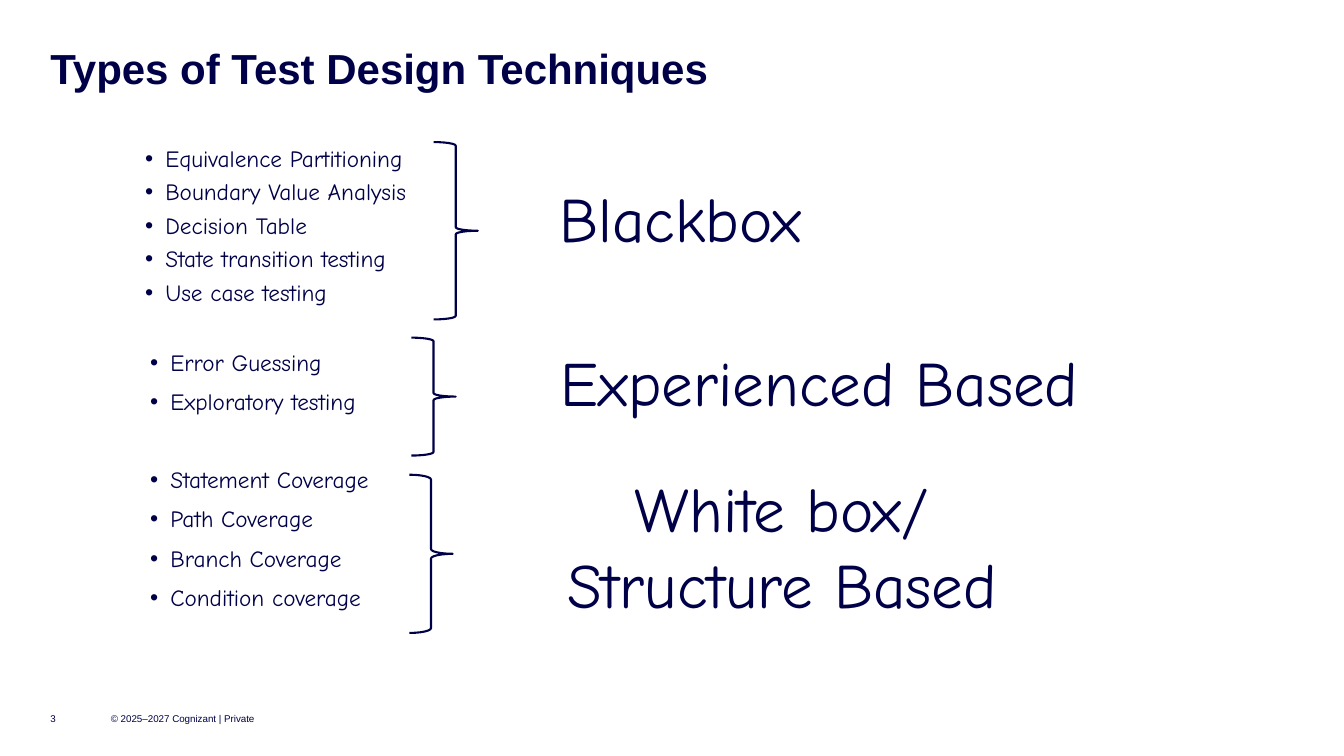
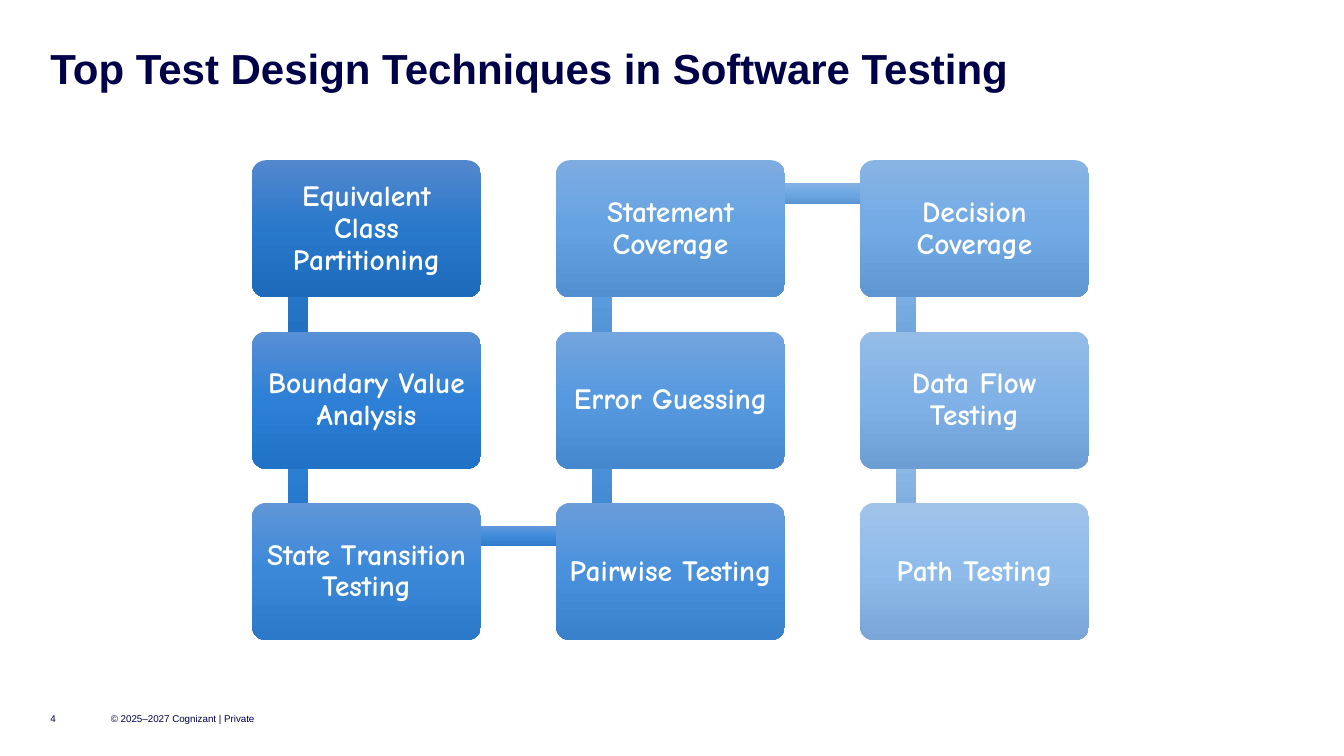
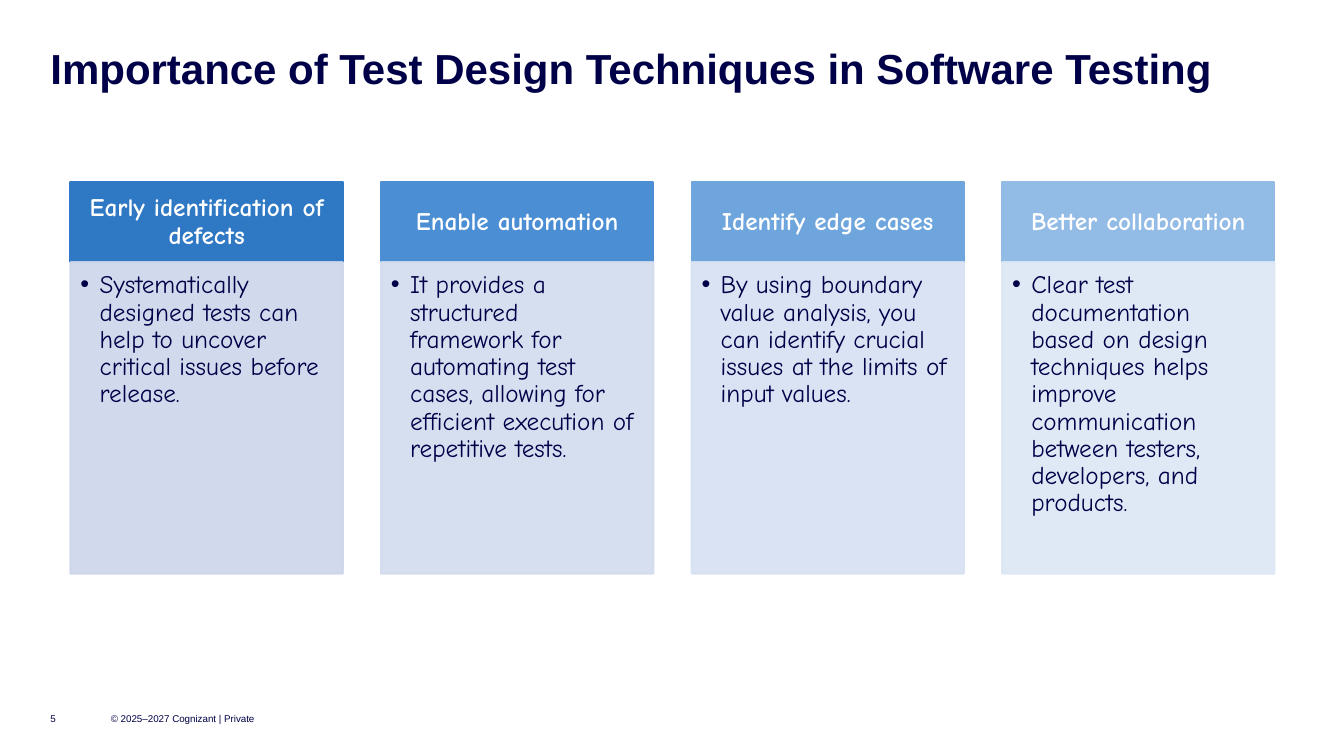
import copy

import lxml.etree
import pptx
import pptx.dml.color
import pptx.enum.shapes
import pptx.enum.text
import pptx.oxml.ns
import pptx.util

Inches = pptx.util.Inches
Pt = pptx.util.Pt
RGBColor = pptx.dml.color.RGBColor
SHAPE = pptx.enum.shapes.MSO_SHAPE
ALIGN = pptx.enum.text.PP_ALIGN
ANCHOR = pptx.enum.text.MSO_ANCHOR
qn = pptx.oxml.ns.qn

NAVY = RGBColor(0x00, 0x00, 0x48)
WHITE = RGBColor(0xFF, 0xFF, 0xFF)
HEADING_FONT = "Arial"
BODY_FONT = "Comic Neue"
COPYRIGHT = "© 2025–2027 Cognizant | Private"

deck = pptx.Presentation()
deck.slide_width = Inches(13.33)
deck.slide_height = Inches(7.5)
TITLE_AND_LIST = deck.slide_layouts[1]
TITLE_ONLY = deck.slide_layouts[5]


def style(paragraph, size, color=NAVY, font=BODY_FONT, bold=False,
          align=ALIGN.LEFT, spacing=0.9, before=0, bullet_indent=None, hang=0.2):
    """Format one paragraph; bullet_indent is the text indent in inches."""
    paragraph.alignment = align
    paragraph.line_spacing = spacing
    paragraph.space_before = Pt(before)
    if bullet_indent is not None:
        props = paragraph._p.get_or_add_pPr()
        props.set("marL", str(Inches(bullet_indent)))
        props.set("indent", str(-Inches(hang)))
        bullet_color = lxml.etree.SubElement(props, qn("a:buClr"))
        lxml.etree.SubElement(bullet_color, qn("a:srgbClr"), val=str(color))
        lxml.etree.SubElement(props, qn("a:buFont"), typeface="Arial")
        lxml.etree.SubElement(props, qn("a:buChar"), char="•")
    paragraph.font.size = Pt(size)
    paragraph.font.name = font
    paragraph.font.bold = bold
    paragraph.font.color.rgb = color


def new_slide(layout, number, heading):
    """Add a slide with the shared title and footer."""
    slide = deck.slides.add_slide(layout)
    title = slide.shapes.title
    title.left, title.top = Inches(0.5), Inches(0.48)
    title.width, title.height = Inches(12.33), Inches(0.45)
    title.text_frame.text = heading
    title.text_frame.vertical_anchor = ANCHOR.TOP
    style(title.text_frame.paragraphs[0], 30, font=HEADING_FONT, bold=True)
    frames = [title.text_frame]
    for left, width, text in ((1.1, 1.5, COPYRIGHT), (0.5, 0.4, str(number))):
        footer = slide.shapes.add_textbox(
            Inches(left), Inches(7), Inches(width), Inches(0.25)).text_frame
        footer.text = text
        footer.vertical_anchor = ANCHOR.MIDDLE
        style(footer.paragraphs[0], 7, font=HEADING_FONT, spacing=1.0)
        frames.append(footer)
    for frame in frames:
        frame.word_wrap = True
        frame.margin_left = frame.margin_right = 0
        frame.margin_top = frame.margin_bottom = 0
    return slide


# Slide 3: technique lists, braces and categories
slide = new_slide(TITLE_AND_LIST, 3, "Types of Test Design Techniques")

# (techniques, indent, space between items, space before the group)
technique_groups = [
    (["Equivalence Partitioning", "Boundary Value Analysis", "Decision Table",
      "State transition testing", "Use case testing"], 0.2, 6, 0),
    (["Error Guessing", "Exploratory testing"], 0.25, 10, 32),
    (["Statement Coverage", "Path Coverage", "Branch Coverage",
      "Condition coverage"], 0.25, 10, 38),
]
techniques = slide.placeholders[1]
techniques.left, techniques.top = Inches(1.44), Inches(1.46)
techniques.width, techniques.height = Inches(11.5), Inches(4.86)
technique_text = techniques.text_frame
technique_text.auto_size = pptx.enum.text.MSO_AUTO_SIZE.NONE
technique_text.margin_left = technique_text.margin_right = 0
technique_text.margin_top = technique_text.margin_bottom = 0
technique_text.text = "\n".join(
    name for names, *_ in technique_groups for name in names)
lines = iter(technique_text.paragraphs)
for names, indent, item_gap, group_gap in technique_groups:
    for position in range(len(names)):
        style(next(lines), 16.6, before=item_gap if position else group_gap,
              bullet_indent=indent)

for left, top, width, height, curl in (
        (4.3, 1.41, 0.44, 1.76, 0.08),
        (4.08, 3.35, 0.44, 1.17, 0.08),
        (4.06, 4.71, 0.43, 1.57, 0.11)):
    brace = slide.shapes.add_shape(
        SHAPE.RIGHT_BRACE, Inches(left), Inches(top), Inches(width), Inches(height))
    brace.shadow.inherit = False
    brace.adjustments[0] = curl
    brace.fill.background()
    brace.line.color.rgb = NAVY
    brace.line.width = Pt(1.5)

for left, top, height, text in (
        (2.41, 1.73, 0.86, "Blackbox"),
        (3.79, 3.36, 0.86, "Experienced Based"),
        (3.42, 4.61, 1.62, "White box/\nStructure Based")):
    category = slide.shapes.add_textbox(
        Inches(left), Inches(top), Inches(8.67), Inches(height)).text_frame
    category.word_wrap = True
    category.text = text
    for paragraph in category.paragraphs:
        style(paragraph, 45, align=ALIGN.CENTER, spacing=1.0)

# Slide 4: chain of techniques, running down, up and down the columns
slide = new_slide(TITLE_ONLY, 4, "Top Test Design Techniques in Software Testing")

# (technique, box gradient, gradient of the bar to the next box)
chain = [
    ("Equivalent Class Partitioning", "5488CE 2878CB 1D6ABB", "5488CE 2878CB 1D6ABB"),
    ("Boundary Value Analysis", "588FD5 2D80D6 2072C7", "5990D6 2F81D7 2173C7"),
    ("State Transition Testing", "6096D8 3B88D9 2C79C9", "6298D9 3F8BDA 307BCA"),
    ("Pairwise Testing", "699DDB 4991DC 3981CB", "6DA0DC 4E94DD 3E84CC"),
    ("Error Guessing", "73A5DE 5699DF 4688CD", "79A9E0 5E9EE1 4D8CCF"),
    ("Statement Coverage", "7DACE1 64A2E2 528FD0", "85B2E3 6EA8E4 5B95D1"),
    ("Decision Coverage", "88B4E4 72AAE5 5F97D2", "92BBE7 7EB1E7 6A9DD3"),
    ("Data Flow Testing", "94BCE7 80B2E7 6C9ED4", "A0C3EA 8EBBEA 79A6D6"),
    ("Path Testing", "A0C3EA 8EBBEA 79A6D6", None),
]
ROWS = 3
COLUMN_STEP, ROW_STEP = 3.015, 1.7
BAR = 0.2
cells = []
for index in range(len(chain)):
    column, step = divmod(index, ROWS)
    row = step if column % 2 == 0 else ROWS - 1 - step
    cells.append((2.5 + column * COLUMN_STEP, 1.59 + row * ROW_STEP))

for index, (technique, box_tones, bar_tones) in enumerate(chain):
    left, top = cells[index]
    parts = []
    if bar_tones:
        next_left, next_top = cells[index + 1]
        if next_left == left:
            place = (left + 0.36, min(top, next_top) + 0.33, BAR, ROW_STEP)
        else:
            place = (left + 0.46, top + 0.23, COLUMN_STEP, BAR)
        bar = slide.shapes.add_shape(SHAPE.RECTANGLE, *map(Inches, place))
        parts.append((bar, bar_tones))
    box = slide.shapes.add_shape(
        SHAPE.ROUNDED_RECTANGLE, *map(Inches, (left, top, 2.27, 1.36)))
    box.adjustments[0] = 0.1
    parts.append((box, box_tones))

    for part, tones in parts:
        part.shadow.inherit = False
        part.line.fill.background()
        part.fill.gradient()
        part.fill.gradient_angle = 270
        stop_list = part._element.spPr.find(".//" + qn("a:gsLst"))
        stop_list.append(copy.deepcopy(stop_list[0]))
        for stop, position, tone in zip(
                part.fill.gradient_stops, (0, 0.5, 1), tones.split()):
            stop.position = position
            stop.color.rgb = RGBColor.from_string(tone)

    label = box.text_frame
    label.word_wrap = True
    label.vertical_anchor = ANCHOR.MIDDLE
    label.margin_left = label.margin_right = Inches(0.09)
    label.margin_top = label.margin_bottom = Inches(0.09)
    label.text = technique
    style(label.paragraphs[0], 21, WHITE, bold=True, align=ALIGN.CENTER)

# Slide 5: four benefit columns
slide = new_slide(
    TITLE_ONLY, 5, "Importance of Test Design Techniques in Software Testing")

# (benefit, explanation, header colour, panel colour)
benefits = [
    ("Early identification of defects",
     "Systematically designed tests can help to uncover critical issues before release.",
     RGBColor(0x2F, 0x78, 0xC4), RGBColor(0xCD, 0xD6, 0xEA)),
    ("Enable automation",
     "It provides a structured framework for automating test cases, "
     "allowing for efficient execution of repetitive tests.",
     RGBColor(0x4B, 0x8E, 0xD4), RGBColor(0xD2, 0xDC, 0xEE)),
    ("Identify edge cases",
     "By using boundary value analysis, you can identify crucial issues "
     "at the limits of input values.",
     RGBColor(0x6E, 0xA5, 0xDD), RGBColor(0xD7, 0xE1, 0xF2)),
    ("Better collaboration",
     "Clear test documentation based on design techniques helps improve "
     "communication between testers, developers, and products.",
     RGBColor(0x92, 0xBB, 0xE6), RGBColor(0xDC, 0xE7, 0xF5)),
]
for index, (benefit, explanation, header_color, panel_color) in enumerate(benefits):
    left = 0.7 + index * 3.08
    for top, height, color, text, anchor, margins in (
            (1.81, 0.79, header_color, benefit, ANCHOR.MIDDLE,
             (0.14, 0.08, 0.14, 0.08)),
            (2.6, 3.09, panel_color, explanation, ANCHOR.TOP,
             (0.1, 0.1, 0.14, 0.16))):
        panel = slide.shapes.add_shape(
            SHAPE.RECTANGLE, Inches(left), Inches(top), Inches(2.7), Inches(height))
        panel.shadow.inherit = False
        panel.fill.solid()
        panel.fill.fore_color.rgb = color
        panel.line.color.rgb = color
        panel.line.width = Pt(1.5)
        content = panel.text_frame
        content.word_wrap = True
        content.vertical_anchor = anchor
        (content.margin_left, content.margin_top,
         content.margin_right, content.margin_bottom) = map(Inches, margins)
        content.text = text
        if text == benefit:
            style(content.paragraphs[0], 18, WHITE, bold=True, align=ALIGN.CENTER)
        else:
            style(content.paragraphs[0], 18, bullet_indent=0.19, hang=0.19)
            # 90% opacity for fill and outline
            for tint in panel._element.spPr.iter(qn("a:srgbClr")):
                lxml.etree.SubElement(tint, qn("a:alpha"), val="90000")

deck.save("out.pptx")
